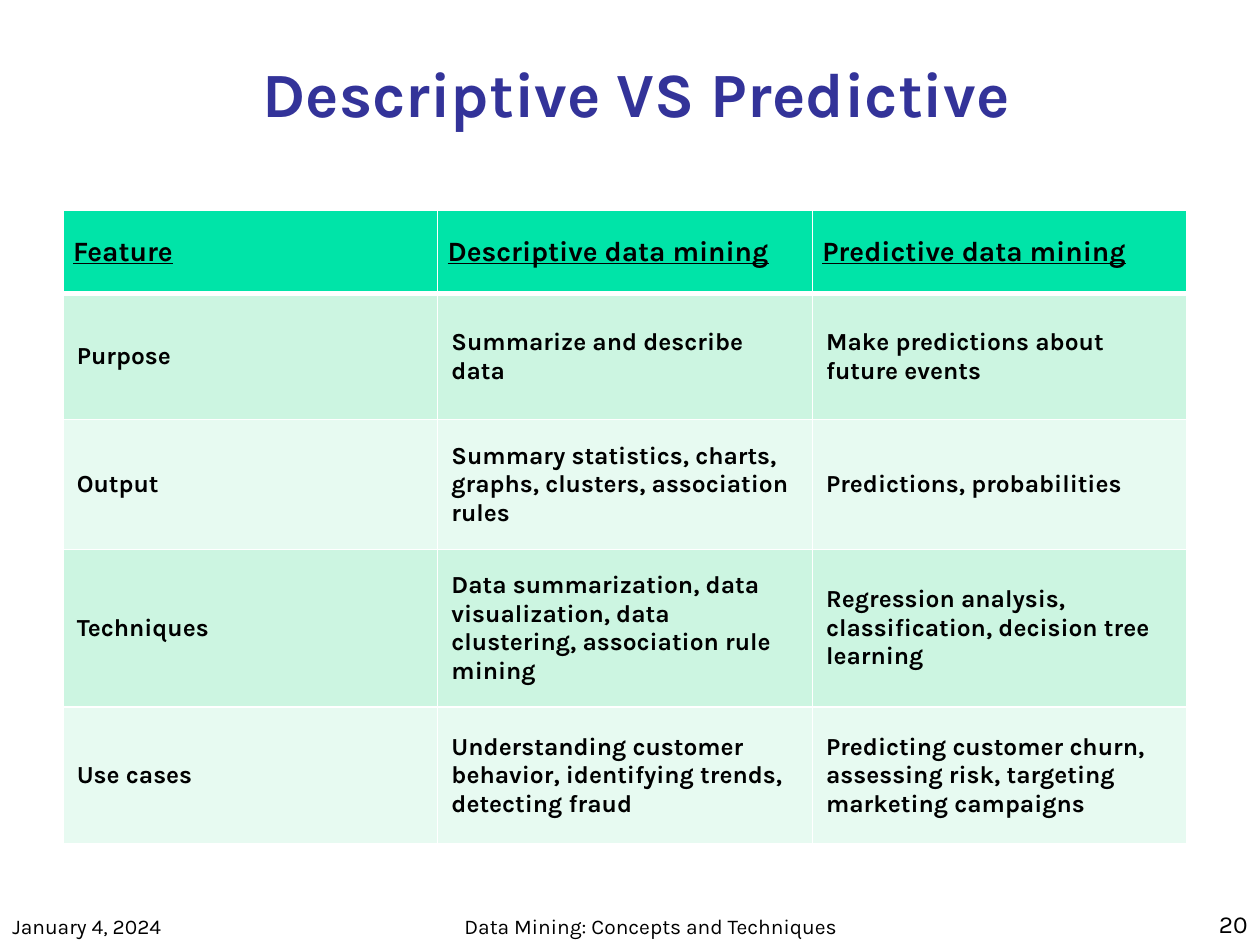
"""Build a slide comparing descriptive and predictive data mining."""
from dataclasses import dataclass

from lxml import etree
from pptx import Presentation
from pptx.dml.color import RGBColor
from pptx.enum.text import MSO_ANCHOR, PP_ALIGN
from pptx.oxml.ns import qn
from pptx.util import Inches, Pt

LEFT, CENTER, RIGHT = PP_ALIGN.LEFT, PP_ALIGN.CENTER, PP_ALIGN.RIGHT
BOTTOM, MIDDLE = MSO_ANCHOR.BOTTOM, MSO_ANCHOR.MIDDLE

TITLE = "Descriptive VS Predictive"
TITLE_BOX = (0.83, 0.25, 8.44, 0.83)
ROWS = [
    ("Feature", "Descriptive data mining", "Predictive data mining"),
    ("Purpose", "Summarize and describe data", "Make predictions about future events"),
    ("Output", "Summary statistics, charts, graphs, clusters, association rules",
     "Predictions, probabilities"),
    ("Techniques", "Data summarization, data visualization, data clustering, association rule mining",
     "Regression analysis, classification, decision tree learning"),
    ("Use cases", "Understanding customer behavior, identifying trends, detecting fraud",
     "Predicting customer churn, assessing risk, targeting marketing campaigns"),
]
ROW_HEIGHTS = (0.66, 1, 1.03, 1.25, 1.09)
TABLE_LEFT, TABLE_TOP, TABLE_WIDTH = 0.5, 1.67, 8.92


@dataclass(frozen=True)
class Theme:
    font: str = "Karla"
    title: str = "333399"
    text: str = "000000"
    border: str = "FFFFFF"
    header: str = "00E4A8"
    bands: tuple = ("CCF5E1", "E7FAF1")
    title_size: int = 36
    header_size: int = 16
    body_size: int = 14
    footer_size: int = 12


THEME = Theme()
FOOTERS = [
    ("January 4, 2024", (0, 7, 2.08, 0.5), LEFT, THEME.footer_size),
    ("Data Mining: Concepts and Techniques", (3.58, 7.08, 3.17, 0.42), CENTER, THEME.footer_size),
    ("20", (7.92, 7, 2.08, 0.5), RIGHT, THEME.body_size),
]


def write(frame, text, size, color=THEME.text, align=LEFT, bold=False, underline=False):
    frame.text = text
    frame.word_wrap = True
    para = frame.paragraphs[0]
    para.alignment = align
    font = para.runs[0].font
    font.name, font.size = THEME.font, Pt(size)
    font.bold, font.underline = bold, underline
    font.color.rgb = RGBColor.from_string(color)


def add_borders(cell, widths):
    properties = cell._tc.get_or_add_tcPr()
    for index, (side, width) in enumerate(widths.items()):
        line = etree.Element(qn(f"a:ln{side}"), w=str(Pt(width)))
        fill = etree.SubElement(line, qn("a:solidFill"))
        etree.SubElement(fill, qn("a:srgbClr"), val=THEME.border)
        properties.insert(index, line)


def style_cell(cell, text, row):
    header = row == 0
    write(cell.text_frame, text, THEME.header_size if header else THEME.body_size,
          bold=True, underline=header)
    cell.vertical_anchor = MIDDLE
    cell.margin_left = cell.margin_right = Inches(0.08 if header else 0.11)
    cell.margin_top = cell.margin_bottom = Inches(0.04 if header else 0.11)
    cell.fill.solid()
    color = THEME.header if header else THEME.bands[(row - 1) % 2]
    cell.fill.fore_color.rgb = RGBColor.from_string(color)
    add_borders(cell, {"L": 1, "R": 1, "T": 3 if row == 1 else 1, "B": 3 if header else 1})


def add_comparison(page):
    columns = len(ROWS[0])
    bounds = (TABLE_LEFT, TABLE_TOP, TABLE_WIDTH, sum(ROW_HEIGHTS))
    table = page.shapes.add_table(len(ROWS), columns, *map(Inches, bounds)).table
    for column in table.columns:
        column.width = Inches(TABLE_WIDTH / columns)
    for row, (texts, height) in enumerate(zip(ROWS, ROW_HEIGHTS)):
        table.rows[row].height = Inches(height)
        for column, text in enumerate(texts):
            style_cell(table.cell(row, column), text, row)


def main():
    deck = Presentation()
    deck.slide_width, deck.slide_height = Inches(10), Inches(7.5)
    page = deck.slides.add_slide(deck.slide_layouts[5])
    title = page.shapes.title
    title.left, title.top, title.width, title.height = map(Inches, TITLE_BOX)
    write(title.text_frame, TITLE, THEME.title_size, THEME.title, CENTER, bold=True)
    title.text_frame.vertical_anchor = BOTTOM
    for text, bounds, align, size in FOOTERS:
        box = page.shapes.add_textbox(*map(Inches, bounds))
        write(box.text_frame, text, size, align=align)
        box.text_frame.vertical_anchor = BOTTOM
    add_comparison(page)
    deck.save("out.pptx")


if __name__ == "__main__":
    main()
